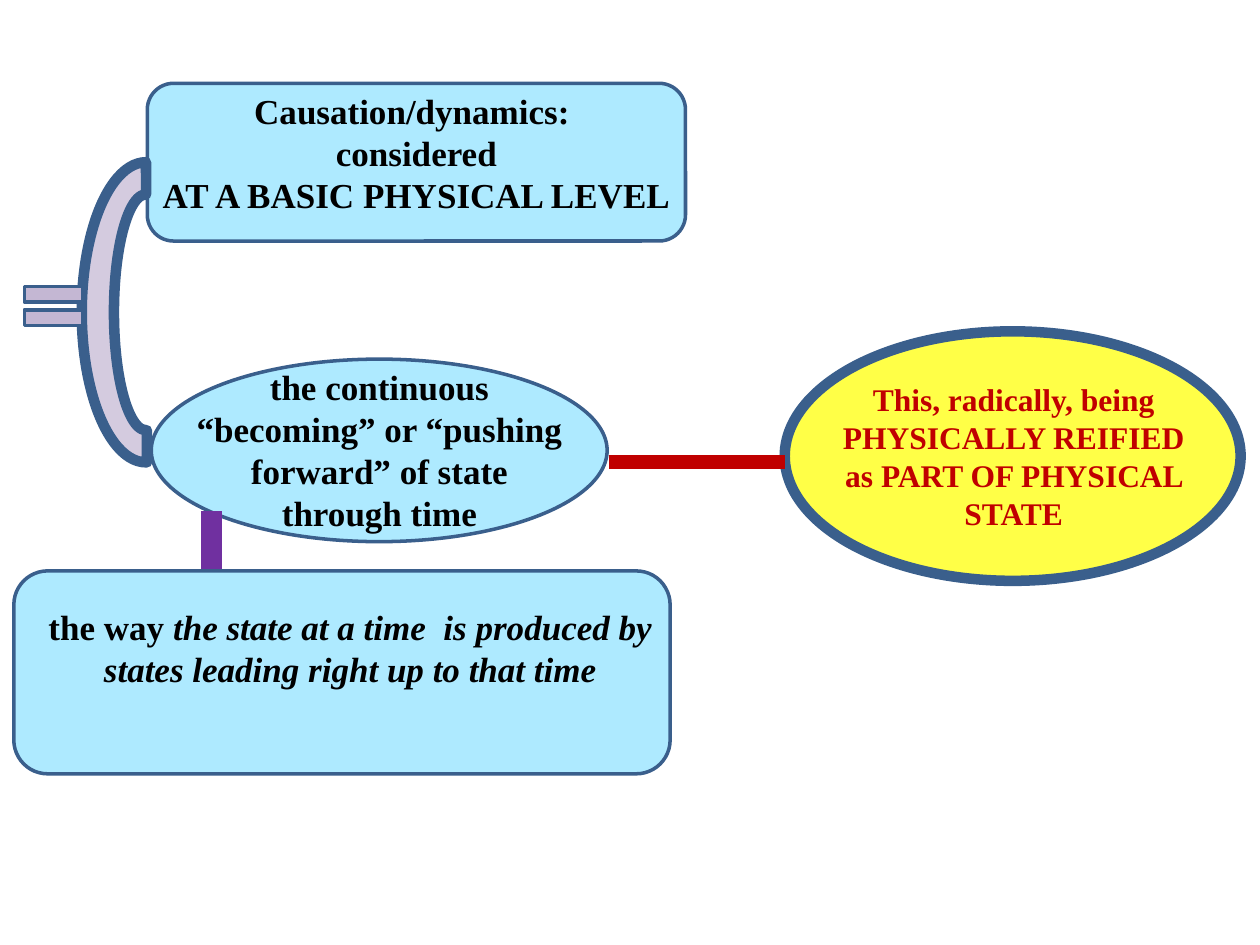
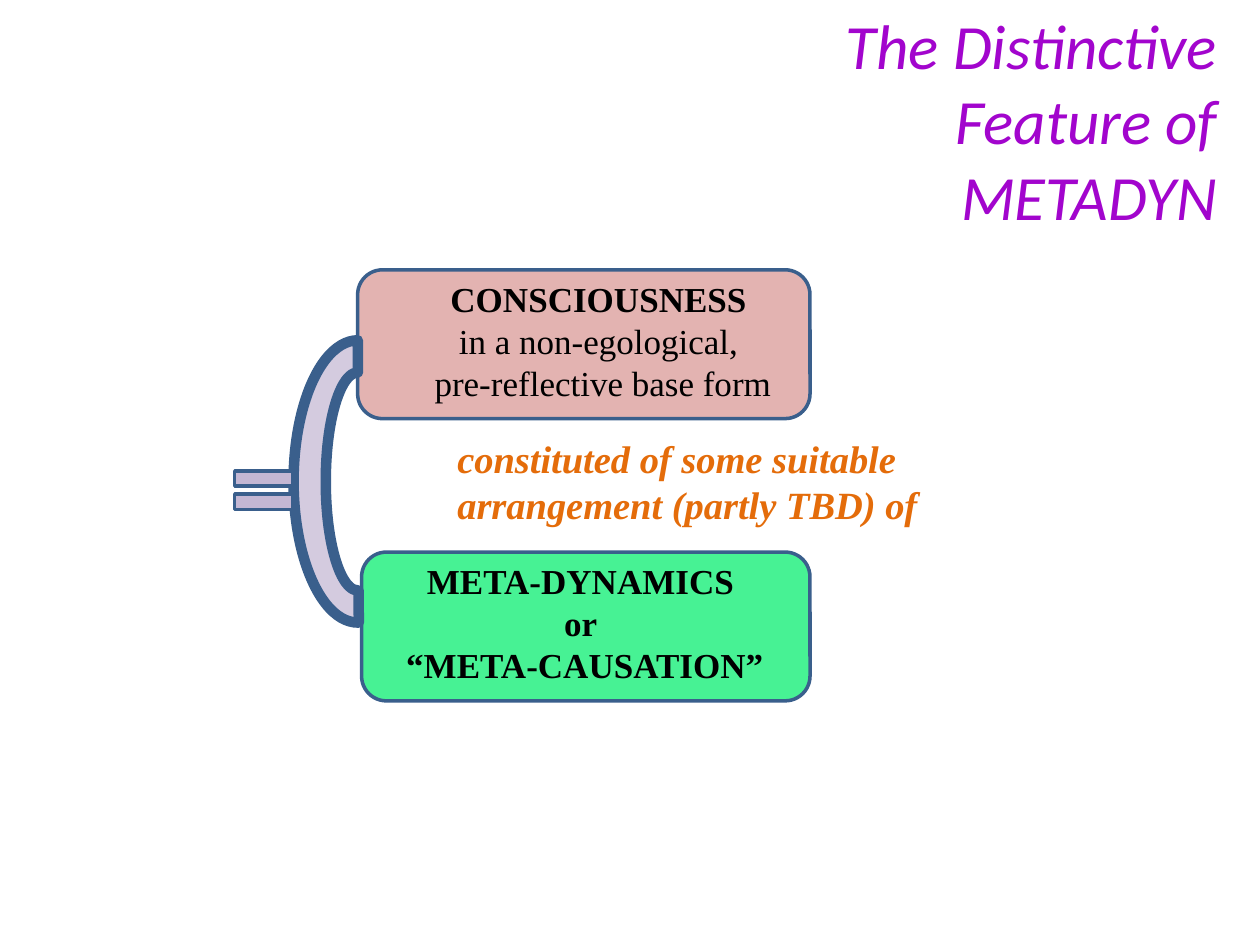
from lxml import etree
from pptx import Presentation
from pptx.dml.color import RGBColor
from pptx.enum.shapes import MSO_CONNECTOR, MSO_SHAPE
from pptx.enum.text import MSO_ANCHOR, MSO_AUTO_SIZE, PP_ALIGN
from pptx.oxml.ns import qn
from pptx.util import Cm, Pt

ROUNDED, ELLIPSE = MSO_SHAPE.ROUNDED_RECTANGLE, MSO_SHAPE.OVAL
ARC, EQUALS = MSO_SHAPE.BLOCK_ARC, MSO_SHAPE.MATH_EQUAL
STRAIGHT = MSO_CONNECTOR.STRAIGHT
LEFT, CENTER, RIGHT = PP_ALIGN.LEFT, PP_ALIGN.CENTER, PP_ALIGN.RIGHT
TOP, NO_AUTOFIT = MSO_ANCHOR.TOP, MSO_AUTO_SIZE.NONE
TITLE_ONLY, BLANK = 5, 6

BODY_FONT, TITLE_FONT = "Times New Roman", "Calibri"
OUTLINE, LILAC, SKY, YELLOW = "3A5F8C", "C4B7D3", "8FE2FF", "FFFF00"
ROSE, GREEN, ORANGE = "D99694", "00EE6C", "E46C0A"
RED, PURPLE, VIOLET, BLACK = "C00000", "7030A0", "A205CD", "000000"


def rgb(color):
    """Turn a hex string into a colour."""
    return RGBColor.from_string(color)


def write_text(frame, paragraphs, size=20, font=BODY_FONT, color=BLACK,
               bold=False, italic=False, align=CENTER, space_after=0):
    """Fill a frame; a paragraph is a string or (text, bold, italic) runs."""
    frame.word_wrap = True
    for number, content in enumerate(paragraphs):
        paragraph = frame.paragraphs[0] if number == 0 else frame.add_paragraph()
        paragraph.alignment = align
        paragraph.space_after = Pt(space_after)
        runs = [(content, bold, italic)] if isinstance(content, str) else content
        for text, run_bold, run_italic in runs:
            run = paragraph.add_run()
            run.text = text
            run.font.name = font
            run.font.size = Pt(size)
            run.font.bold = run_bold
            run.font.italic = run_italic
            run.font.color.rgb = rgb(color)


def add_text(slide, box, paragraphs, **text_format):
    """Add a text box at a box given in centimetres."""
    label = slide.shapes.add_textbox(*map(Cm, box))
    write_text(label.text_frame, paragraphs, **text_format)


def add_figure(slide, kind, box, fill, line_width=2, opacity=72):
    """Add an outlined preset shape with a see-through fill."""
    figure = slide.shapes.add_shape(kind, *map(Cm, box))
    figure.shadow.inherit = False
    figure.fill.solid()
    figure.fill.fore_color.rgb = rgb(fill)
    figure.line.color.rgb = rgb(OUTLINE)
    figure.line.width = Pt(line_width)
    if opacity < 100:
        tint = figure.fill._xPr.find(qn("a:solidFill"))[0]
        etree.SubElement(tint, qn("a:alpha"), val=str(opacity * 1000))
    return figure


def add_link(slide, start, end, color, width):
    """Draw a thick straight link between two points."""
    link = slide.shapes.add_connector(STRAIGHT, *map(Cm, start + end))
    link.line.color.rgb = rgb(color)
    link.line.width = Pt(width)
    etree.SubElement(link._element.spPr, qn("a:effectLst"))


def add_identity_brace(slide, arc_box, equals_box):
    """Bracket two ideas with an arc and an equals sign."""
    arc = add_figure(slide, ARC, arc_box, LILAC, line_width=6)
    arc.rotation = 270
    for index, value in enumerate((107.764, 0, 0.25)):
        arc.adjustments[index] = value
    add_figure(slide, EQUALS, equals_box, LILAC, opacity=100)


def add_title(slide, box, paragraphs, **text_format):
    """Place and format the title placeholder."""
    title = slide.shapes.title
    title.left, title.top, title.width, title.height = map(Cm, box)
    title.text_frame.auto_size = NO_AUTOFIT
    title.text_frame.vertical_anchor = TOP
    write_text(title.text_frame, paragraphs, **text_format)


def build_causation(slide):
    """Build the slide on causation at a basic physical level."""
    add_figure(slide, ROUNDED, (0.28, 11.51, 13.23, 4.09), SKY)
    add_figure(slide, ELLIPSE, (15.82, 6.68, 9.19, 5.03), YELLOW, line_width=6)
    add_figure(slide, ROUNDED, (2.97, 1.68, 10.85, 3.18), SKY)
    add_figure(slide, ELLIPSE, (3.05, 7.24, 9.19, 3.68), SKY)
    add_text(slide, (16.41, 7.54, 8.05, 3.33),
             ["This, radically, being PHYSICALLY REIFIED as PART OF PHYSICAL STATE"],
             size=18, color=RED, bold=True, space_after=5)
    add_text(slide, (2.97, 1.68, 10.85, 2.82),
             ["Causation/dynamics: ", "considered", "AT A BASIC PHYSICAL LEVEL"],
             bold=True)
    add_text(slide, (3.51, 7.24, 8.28, 3.68),
             ["the continuous “becoming” or “pushing forward” of state through time"],
             bold=True)
    add_identity_brace(slide, (-0.08, 5, 6.05, 2.59), (0.28, 5.51, 1.6, 1.32))
    add_link(slide, (12.27, 9.32), (15.82, 9.32), RED, 8)
    add_text(slide, (0.64, 12.09, 12.85, 1.96),
             [[("the way ", True, False),
               ("the state at a time  is produced by states leading right up to that time",
                True, True)]])
    add_link(slide, (4.27, 11.48), (4.27, 10.31), PURPLE, 12)


def build_metadyn(slide):
    """Build the slide on the distinctive feature of METADYN."""
    add_title(slide, (14.63, 0, 10.16, 4.65),
              ["The Distinctive Feature of", " METADYN"],
              size=36, font=TITLE_FONT, color=VIOLET, italic=True, align=RIGHT)
    add_figure(slide, ROUNDED, (7.21, 5.44, 9.12, 3), ROSE)
    add_text(slide, (7.57, 5.46, 9.17, 2.82),
             [[("CONSCIOUSNESS ", True, False)],
              "in a non-egological, ", "pre-reflective base form"])
    add_figure(slide, ROUNDED, (7.29, 11.13, 9.04, 3), GREEN)
    add_text(slide, (7.65, 11.15, 8.28, 2.82),
             ["META-DYNAMICS ", "or ", "“META-CAUSATION”"], bold=True)
    add_text(slide, (8.97, 8.64, 11.99, 2.13),
             ["constituted of some suitable arrangement (partly TBD) of"],
             size=22, color=ORANGE, bold=True, italic=True, align=LEFT)
    add_identity_brace(slide, (4.37, 8.41, 5.69, 2.59), (4.52, 9.22, 1.6, 1.32))


def main():
    """Build and save both slides."""
    deck = Presentation()
    deck.slide_width, deck.slide_height = Cm(25.4), Cm(19.05)
    build_causation(deck.slides.add_slide(deck.slide_layouts[BLANK]))
    build_metadyn(deck.slides.add_slide(deck.slide_layouts[TITLE_ONLY]))
    deck.save("out.pptx")


if __name__ == "__main__":
    main()
